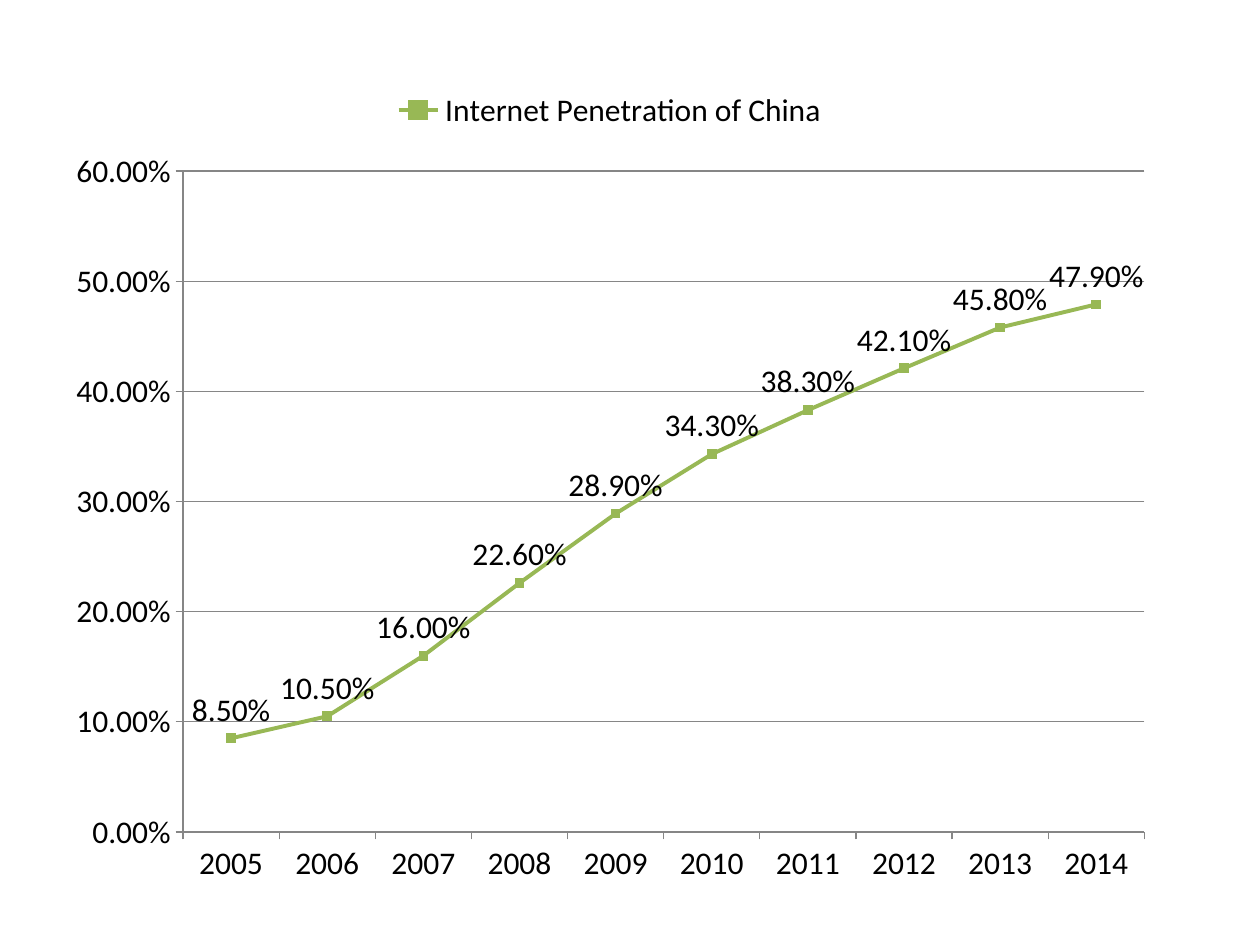
import pptx
import pptx.chart.data
import pptx.dml.color
import pptx.enum.chart
import pptx.oxml
import pptx.oxml.ns
import pptx.util

SLIDE_WIDTH, SLIDE_HEIGHT = pptx.util.Inches(10), pptx.util.Inches(7.5)
GREEN, GREY, BLACK = "98B855", "868686", "000000"
PERCENT = "0.00%"
PENETRATION = {
    2005: 0.085, 2006: 0.105, 2007: 0.16, 2008: 0.226, 2009: 0.289,
    2010: 0.343, 2011: 0.383, 2012: 0.421, 2013: 0.458, 2014: 0.479,
}


def color(value):
    return pptx.dml.color.RGBColor.from_string(value)


def apply(target, values):
    for name, value in values.items():
        setattr(target, name, value)


def style_line(line, value, width):
    line.color.rgb = color(value)
    line.width = pptx.util.Pt(width)


def add_line_chart(slide, left, top, width, height):
    """Add the chart at shares of the slide's size."""
    data = pptx.chart.data.CategoryChartData(number_format=PERCENT)
    data.categories = [str(year) for year in PENETRATION]
    data.add_series("Internet Penetration of China", PENETRATION.values())
    frame = slide.shapes.add_chart(
        pptx.enum.chart.XL_CHART_TYPE.LINE_MARKERS,
        int(left * SLIDE_WIDTH), int(top * SLIDE_HEIGHT),
        int(width * SLIDE_WIDTH), int(height * SLIDE_HEIGHT), data)
    chart = frame.chart
    apply(chart, {"has_title": False, "has_legend": True})
    apply(chart.font, {"name": "Calibri", "size": pptx.util.Pt(18)})
    chart.font.color.rgb = color(BLACK)
    apply(chart.legend, {
        "position": pptx.enum.chart.XL_LEGEND_POSITION.TOP,
        "include_in_layout": False})
    return chart


def place_plot(chart, **shares):
    """Fix the inner plot area at shares of the chart's size."""
    plot_area = chart.plots[0]._element.getparent()
    for old in plot_area.findall(pptx.oxml.ns.qn("c:layout")):
        plot_area.remove(old)
    parts = "".join(f'<c:{key} val="{value}"/>' for key, value in shares.items())
    plot_area.insert(0, pptx.oxml.parse_xml(
        f'<c:layout {pptx.oxml.ns.nsdecls("c")}><c:manualLayout>'
        '<c:layoutTarget val="inner"/><c:xMode val="edge"/><c:yMode val="edge"/>'
        f'{parts}</c:manualLayout></c:layout>'))


def style_axes(chart):
    outside = pptx.enum.chart.XL_TICK_MARK.OUTSIDE
    for axis in (chart.category_axis, chart.value_axis):
        axis.major_tick_mark = outside
        style_line(axis.format.line, GREY, 0.75)
    apply(chart.value_axis, {
        "minimum_scale": 0, "maximum_scale": 0.6, "major_unit": 0.1,
        "has_major_gridlines": True})
    style_line(chart.value_axis.major_gridlines.format.line, GREY, 0.75)
    apply(chart.value_axis.tick_labels, {
        "number_format": PERCENT, "number_format_is_linked": False})


def style_series(chart):
    plot = chart.plots[0]
    apply(plot, {"vary_by_categories": False})
    series = plot.series[0]
    series.smooth = False
    style_line(series.format.line, GREEN, 2.25)
    apply(series.marker, {
        "style": pptx.enum.chart.XL_MARKER_STYLE.SQUARE, "size": 5})
    series.marker.format.fill.solid()
    series.marker.format.fill.fore_color.rgb = color(GREEN)
    style_line(series.marker.format.line, GREEN, 0.75)
    apply(series.data_labels, {
        "show_value": True, "number_format": PERCENT,
        "number_format_is_linked": False,
        "position": pptx.enum.chart.XL_LABEL_POSITION.ABOVE})


def main():
    deck = pptx.Presentation()
    apply(deck, {"slide_width": SLIDE_WIDTH, "slide_height": SLIDE_HEIGHT})
    slide = deck.slides.add_slide(deck.slide_layouts[6])

    # Chart with its plot area, axes and series
    chart = add_line_chart(slide, 0.043, 0.08, 0.882, 0.872)
    place_plot(chart, x=0.116, y=0.116, w=0.865, h=0.802)
    style_axes(chart)
    style_series(chart)

    deck.save("out.pptx")


main()
